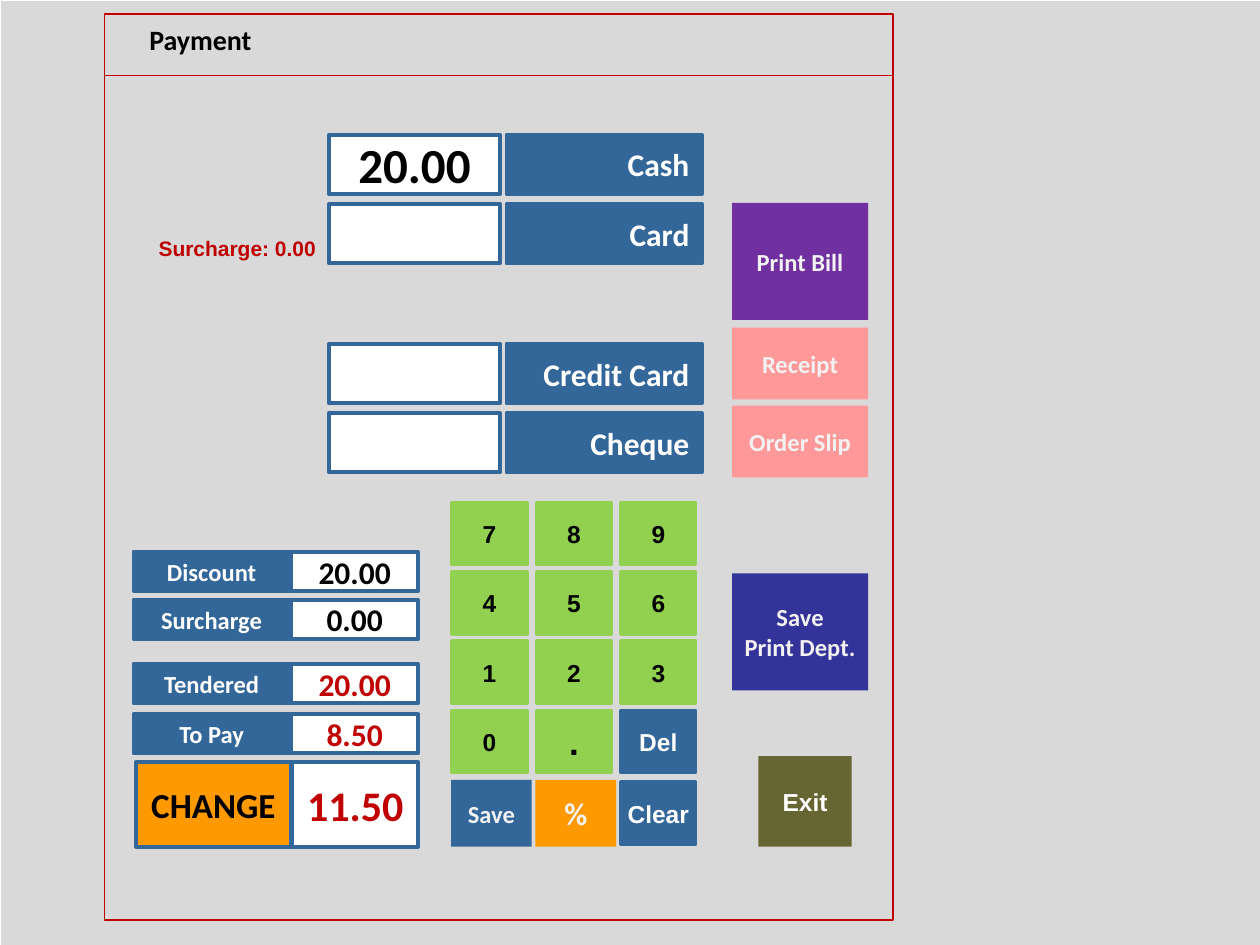
from dataclasses import dataclass
from itertools import product

from lxml import etree
from pptx import Presentation
from pptx.dml.color import RGBColor
from pptx.enum import shapes, text
from pptx.oxml import ns
from pptx.util import Inches, Pt

COLORS = {
    "backdrop": "D9D9D9", "white": "FFFFFF", "black": "000000", "pale": "F2F2F2",
    "blue": "336699", "green": "92D050", "orange": "FF9900", "red": "C00000",
    "rule": "CC0000", "olive": "666633", "purple": "7030A0", "pink": "FF9999",
    "indigo": "333399",
}
CENTER, RIGHT, LEFT = text.PP_ALIGN.CENTER, text.PP_ALIGN.RIGHT, text.PP_ALIGN.LEFT


@dataclass
class Style:
    fill: str | None
    line: str | None = None
    color: str = "white"
    size: int = 14
    font: str = "Calibri"
    align: text.PP_ALIGN = CENTER
    weight: float = 2.25


@dataclass
class Box:
    left: float
    top: float
    width: float
    height: float
    style: Style
    label: str = ""


@dataclass
class Total:
    label: str
    value: str
    top: float
    color: str


def rgb(name: str) -> RGBColor:
    return RGBColor.from_string(COLORS[name])


def write(tf, label: str, style: Style) -> None:
    tf.text = label
    for p in tf.paragraphs:
        p.alignment = style.align
        p.font.name, p.font.size, p.font.bold = style.font, Pt(style.size), True
        p.font.color.rgb = rgb(style.color)


def draw_box(slide, box: Box) -> None:
    sp = slide.shapes.add_shape(
        shapes.MSO_SHAPE.RECTANGLE, Inches(box.left), Inches(box.top),
        Inches(box.width), Inches(box.height))
    sp.shadow.inherit = False
    style = box.style
    if style.fill:
        sp.fill.solid()
        sp.fill.fore_color.rgb = rgb(style.fill)
    else:
        sp.fill.background()
    if style.line:
        sp.line.color.rgb = rgb(style.line)
        sp.line.width = Pt(style.weight)
    else:
        sp.line.fill.background()
    if box.label:
        tf = sp.text_frame
        tf.word_wrap = False
        tf.vertical_anchor = text.MSO_ANCHOR.MIDDLE
        write(tf, box.label, style)


def draw_text(slide, box: Box, wrap: bool) -> None:
    sp = slide.shapes.add_textbox(
        Inches(box.left), Inches(box.top), Inches(box.width), Inches(box.height))
    tf = sp.text_frame
    tf.word_wrap = wrap
    tf.auto_size = text.MSO_AUTO_SIZE.SHAPE_TO_FIT_TEXT
    write(tf, box.label, box.style)


def draw_rule(slide, left: float, right: float, top: float) -> None:
    cx = slide.shapes.add_connector(
        shapes.MSO_CONNECTOR.STRAIGHT, Inches(left), Inches(top), Inches(right), Inches(top))
    cx.line.color.rgb = rgb("rule")
    cx.line.width = Pt(0.75)
    etree.SubElement(cx._element.spPr, ns.qn("a:effectLst"))


def draw_methods(slide) -> None:
    method = Style("blue", "blue", size=18, align=RIGHT)
    amount = Style("white", "blue", "black", 28)
    rows = [("Cash", "20.00", 1.07), ("Card", "", 1.62),
            ("Credit Card", "", 2.73), ("Cheque", "", 3.28)]
    for label, value, top in rows:
        draw_box(slide, Box(4.02, top, 1.55, 0.47, method, label))
        draw_box(slide, Box(2.61, top, 1.36, 0.47, amount, value))


def draw_keypad(slide) -> None:
    digit = Style("green", "green", "black", font="Arial")
    point = Style("green", "green", "black", 20, "Arial")
    command = Style("blue", "blue", font="Arial")
    styles = {".": point, "Del": command}
    keys = ["7", "8", "9", "4", "5", "6", "1", "2", "3", "0", ".", "Del"]
    for (row, col), key in zip(product(range(4), range(3)), keys):
        draw_box(slide, Box(3.59 + 0.67 * col, 3.99 + 0.55 * row, 0.59, 0.49,
                            styles.get(key, digit), key))
    draw_box(slide, Box(3.58, 6.19, 0.64, 0.53, Style("blue", color="pale"), "Save"))
    draw_box(slide, Box(4.25, 6.19, 0.64, 0.53, Style("orange", color="pale", size=18), "%"))
    draw_box(slide, Box(4.93, 6.21, 0.59, 0.49, command, "Clear"))


def draw_totals(slide) -> None:
    totals = [Total("Discount", "20.00", 4.38, "black"), Total("Surcharge", "0.00", 4.76, "black"),
              Total("Tendered", "20.00", 5.27, "red"), Total("To Pay", "8.50", 5.67, "red")]
    for total in totals:
        draw_box(slide, Box(1.06, total.top, 1.24, 0.31, Style("blue", "blue"), total.label))
        draw_box(slide, Box(2.31, total.top, 1.01, 0.31,
                            Style("white", "blue", total.color, 18), total.value))
    draw_box(slide, Box(1.08, 6.05, 1.23, 0.67, Style("orange", "blue", "black", 20), "CHANGE"))
    draw_box(slide, Box(2.32, 6.05, 1, 0.67, Style("white", "blue", "red", 24), "11.50"))


def draw_actions(slide) -> None:
    actions = [("Print Bill", 1.61, 0.93, "purple"), ("Receipt", 2.6, 0.57, "pink"),
               ("Order Slip", 3.22, 0.57, "pink"), ("Save\nPrint Dept.", 4.55, 0.93, "indigo")]
    for label, top, height, fill in actions:
        draw_box(slide, Box(5.81, top, 1.08, height, Style(fill, color="pale"), label))
    draw_box(slide, Box(6.02, 6, 0.74, 0.72, Style("olive", font="Arial"), "Exit"))


def main() -> None:
    """Build the payment screen slide."""
    prs = Presentation()
    prs.slide_width, prs.slide_height = Inches(10), Inches(7.5)
    slide = prs.slides.add_slide(prs.slide_layouts[6])
    draw_box(slide, Box(0.01, 0.01, 10, 7.5, Style("backdrop")))
    draw_box(slide, Box(0.83, 0.11, 6.26, 7.19, Style(None, "red", weight=1)))
    draw_rule(slide, 0.83, 7.08, 0.6)
    title = Style(None, color="black", size=16)
    draw_text(slide, Box(0.75, 0.13, 1.68, 0.37, title, "Payment"), wrap=True)
    note = Style(None, color="red", size=12, font="Arial", align=LEFT)
    draw_text(slide, Box(1.16, 1.82, 1.45, 0.3, note, "Surcharge: 0.00"), wrap=False)
    draw_methods(slide)
    draw_keypad(slide)
    draw_totals(slide)
    draw_actions(slide)
    prs.save("out.pptx")


if __name__ == "__main__":
    main()
